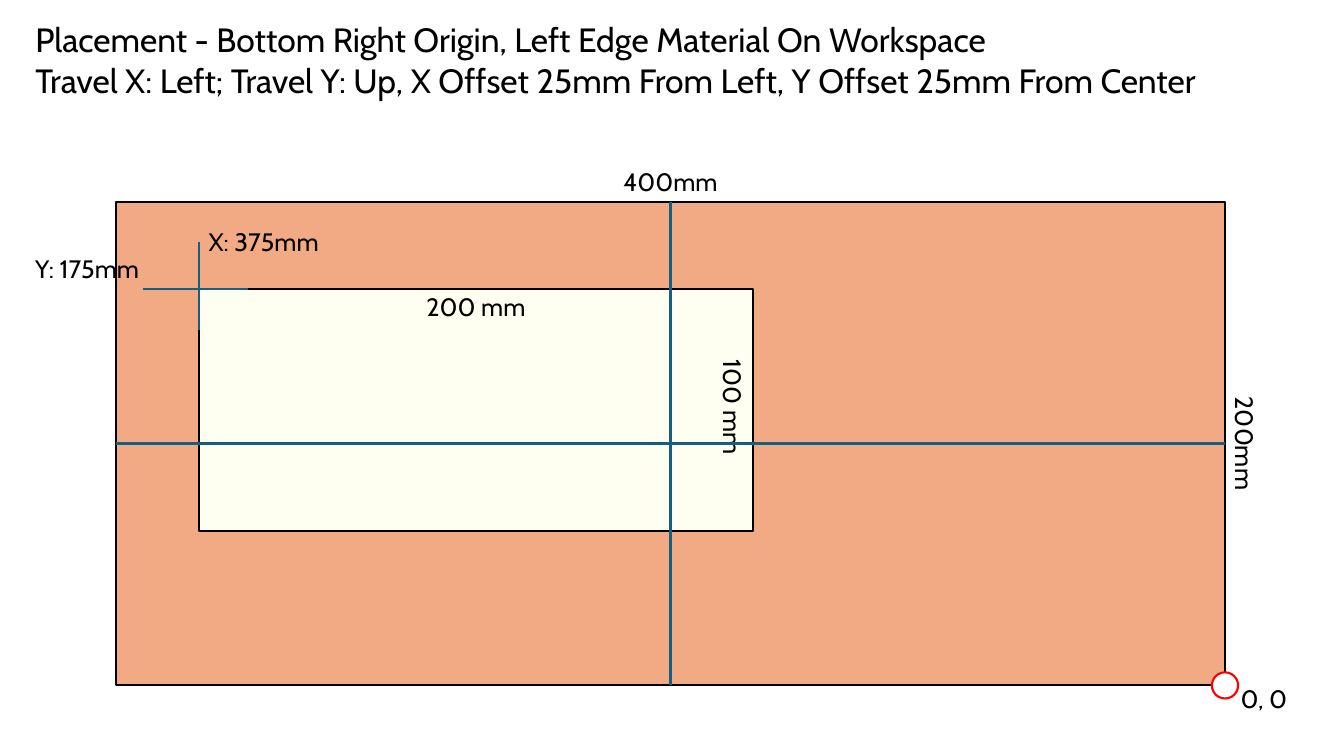
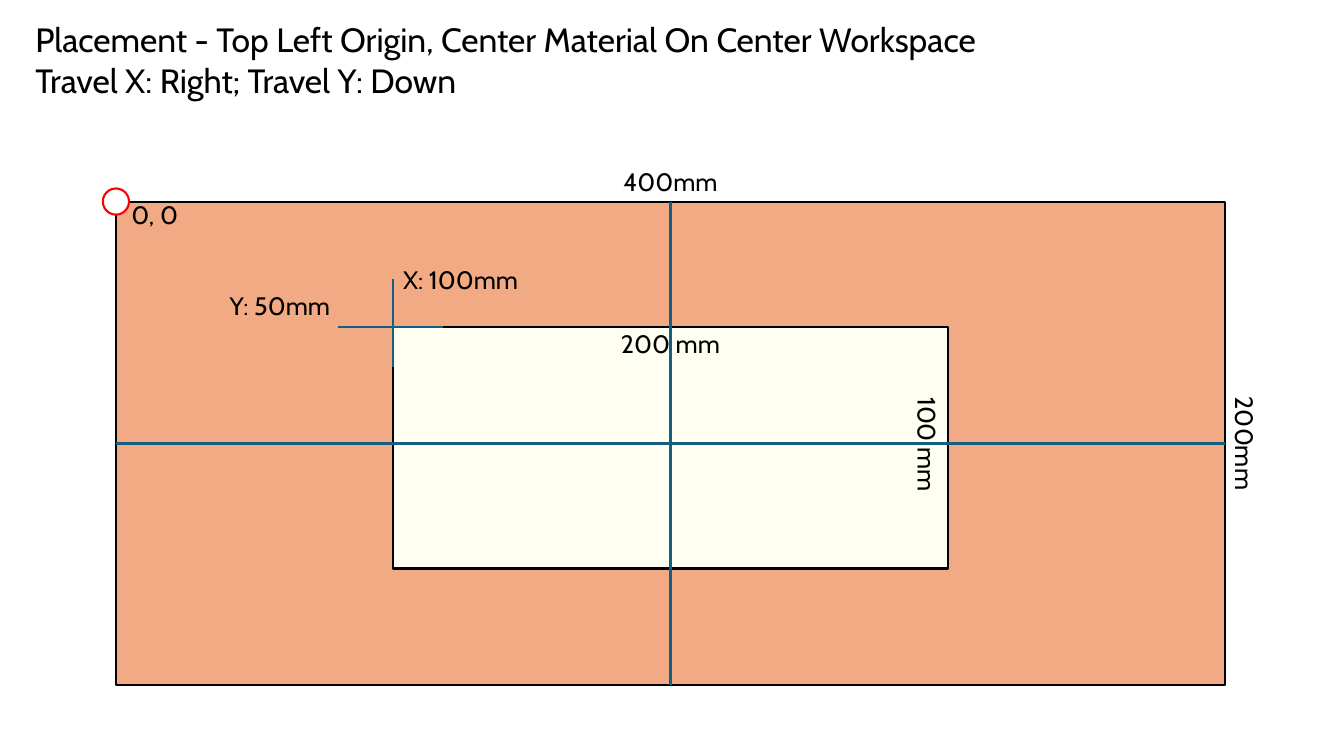
from dataclasses import dataclass

from lxml import etree
from pptx import Presentation
from pptx.dml.color import RGBColor
from pptx.enum.shapes import MSO_CONNECTOR, MSO_SHAPE
from pptx.enum.text import MSO_ANCHOR, MSO_AUTO_SIZE, PP_ALIGN
from pptx.oxml.ns import qn
from pptx.util import Pt

RECTANGLE, OVAL = MSO_SHAPE.RECTANGLE, MSO_SHAPE.OVAL
STRAIGHT = MSO_CONNECTOR.STRAIGHT
LEFT, CENTER = PP_ALIGN.LEFT, PP_ALIGN.CENTER
TOP = MSO_ANCHOR.TOP
NO_AUTO_SIZE = MSO_AUTO_SIZE.NONE
TITLE_ONLY_LAYOUT = 5
EMU_PER_PX = 9144  # 100 px to the inch


@dataclass(frozen=True)
class Theme:
    font: str = "Cabin"
    title_size: int = 24
    label_size: int = 18
    line_width: float = 1.5
    ink: str = "000000"
    workspace: str = "F2AA84"
    material: str = "FFFFF1"
    guide: str = "156082"
    origin_fill: str = "FFFFFF"
    origin_line: str = "FF0000"


@dataclass(frozen=True)
class Box:
    left: int
    top: int
    width: int
    height: int

    @property
    def right(self):
        return self.left + self.width

    @property
    def bottom(self):
        return self.top + self.height

    @property
    def center_x(self):
        return self.left + self.width // 2

    @property
    def center_y(self):
        return self.top + self.height // 2

    def emu(self):
        return [px(length) for length in (self.left, self.top, self.width, self.height)]


THEME = Theme()
SLIDE_WIDTH, SLIDE_HEIGHT = 1333, 750
TITLE = Box(25, 14, 1266, 106)
WORKSPACE = Box(115, 200, 1100, 480)
MATERIAL_WIDTH, MATERIAL_HEIGHT = 550, 240
LABEL_HEIGHT = 40
WORKSPACE_LABEL_WIDTH = 294
POSITION_LABEL_WIDTH = 147
ORIGIN_LABEL_WIDTH = 77
ORIGIN_RADIUS = 13

PLACEMENTS = [
    {
        "title": [
            "Placement - Bottom Right Origin, Left Edge Material On Workspace",
            "Travel X: Left; Travel Y: Up, X Offset 25mm From Left, Y Offset 25mm From Center",
        ],
        "material": Box(197, 287, MATERIAL_WIDTH, MATERIAL_HEIGHT),
        "position": ("X: 375mm", "Y: 175mm"),
        "origin": (WORKSPACE.right, WORKSPACE.bottom),
    },
    {
        "title": [
            "Placement - Top Left Origin, Center Material On Center Workspace",
            "Travel X: Right; Travel Y: Down",
        ],
        "material": Box(390, 324, MATERIAL_WIDTH, MATERIAL_HEIGHT),
        "position": ("X: 100mm", "Y: 50mm"),
        "origin": (WORKSPACE.left, WORKSPACE.top),
    },
]


def px(length):
    return length * EMU_PER_PX


def write_text(frame, lines, size, alignment):
    frame_format = {"word_wrap": True, "auto_size": NO_AUTO_SIZE, "vertical_anchor": TOP}
    for name, value in frame_format.items():
        setattr(frame, name, value)
    font_format = {"name": THEME.font, "size": Pt(size), "bold": False}
    for index, line in enumerate(lines):
        paragraph = frame.add_paragraph() if index else frame.paragraphs[0]
        paragraph.alignment = alignment
        paragraph.line_spacing = 1.0
        paragraph.space_before = Pt(0)
        run = paragraph.add_run()
        run.text = line
        for name, value in font_format.items():
            setattr(run.font, name, value)
        run.font.color.rgb = RGBColor.from_string(THEME.ink)


def add_label(shapes, text, box, alignment=CENTER, rotation=0):
    label = shapes.add_textbox(*box.emu())
    label.rotation = rotation
    write_text(label.text_frame, [text], THEME.label_size, alignment)


def add_side_label(shapes, text, center_x, center_y, length):
    """Label a vertical edge, reading downwards."""
    box = Box(center_x - length // 2, center_y - LABEL_HEIGHT // 2, length, LABEL_HEIGHT)
    add_label(shapes, text, box, rotation=90)


def add_outlined_shape(shapes, kind, box, fill, line):
    shape = shapes.add_shape(kind, *box.emu())
    shape.shadow.inherit = False
    shape.fill.solid()
    shape.fill.fore_color.rgb = RGBColor.from_string(fill)
    shape.line.color.rgb = RGBColor.from_string(line)
    shape.line.width = Pt(THEME.line_width)


def add_guide(shapes, *ends):
    guide = shapes.add_connector(STRAIGHT, *[px(end) for end in ends])
    guide.line.color.rgb = RGBColor.from_string(THEME.guide)
    guide.line.width = Pt(THEME.line_width)
    etree.SubElement(guide._element.spPr, qn("a:effectLst"))


def add_title(slide, lines, box):
    title = slide.shapes.title
    title.left, title.top, title.width, title.height = box.emu()
    write_text(title.text_frame, lines, THEME.title_size, LEFT)


def add_workspace(shapes, box):
    add_outlined_shape(shapes, RECTANGLE, box, THEME.workspace, THEME.ink)
    width = WORKSPACE_LABEL_WIDTH
    add_label(shapes, "400mm",
              Box(box.center_x - width // 2, box.top - LABEL_HEIGHT, width, LABEL_HEIGHT))
    add_side_label(shapes, "200mm", box.right + LABEL_HEIGHT // 2, box.center_y, width)


def add_material(shapes, box, position):
    """Draw the material with its size and the position of its top left corner."""
    x_text, y_text = position
    width = POSITION_LABEL_WIDTH
    add_outlined_shape(shapes, RECTANGLE, box, THEME.material, THEME.ink)
    add_guide(shapes, box.left, box.top - 47, box.left, box.top + 40)
    add_label(shapes, x_text, Box(box.left, box.top - 67, width, LABEL_HEIGHT), LEFT)
    add_guide(shapes, box.left - 55, box.top, box.left + 49, box.top)
    add_label(shapes, y_text, Box(box.left - 172, box.top - 41, width, LABEL_HEIGHT), LEFT)
    add_side_label(shapes, "100 mm", box.right - LABEL_HEIGHT // 2, box.center_y - 3, box.height)
    add_label(shapes, "200 mm", Box(box.left, box.top - 3, box.width, LABEL_HEIGHT))


def add_center_lines(shapes, box):
    add_guide(shapes, box.left, box.center_y, box.right, box.center_y)
    add_guide(shapes, box.center_x, box.top, box.center_x, box.bottom)


def add_origin(shapes, x, y):
    add_label(shapes, "0, 0", Box(x, y - 7, ORIGIN_LABEL_WIDTH, LABEL_HEIGHT))
    circle = Box(x - ORIGIN_RADIUS, y - ORIGIN_RADIUS, 2 * ORIGIN_RADIUS, 2 * ORIGIN_RADIUS)
    add_outlined_shape(shapes, OVAL, circle, THEME.origin_fill, THEME.origin_line)


def add_placement_slide(presentation, placement):
    slide = presentation.slides.add_slide(presentation.slide_layouts[TITLE_ONLY_LAYOUT])
    shapes = slide.shapes
    add_title(slide, placement["title"], TITLE)
    add_workspace(shapes, WORKSPACE)
    add_material(shapes.add_group_shape().shapes, placement["material"], placement["position"])
    add_center_lines(shapes, WORKSPACE)
    add_origin(shapes.add_group_shape().shapes, *placement["origin"])


def main():
    presentation = Presentation()
    presentation.slide_width = px(SLIDE_WIDTH)
    presentation.slide_height = px(SLIDE_HEIGHT)
    for placement in PLACEMENTS:
        add_placement_slide(presentation, placement)
    presentation.save("out.pptx")


if __name__ == "__main__":
    main()
